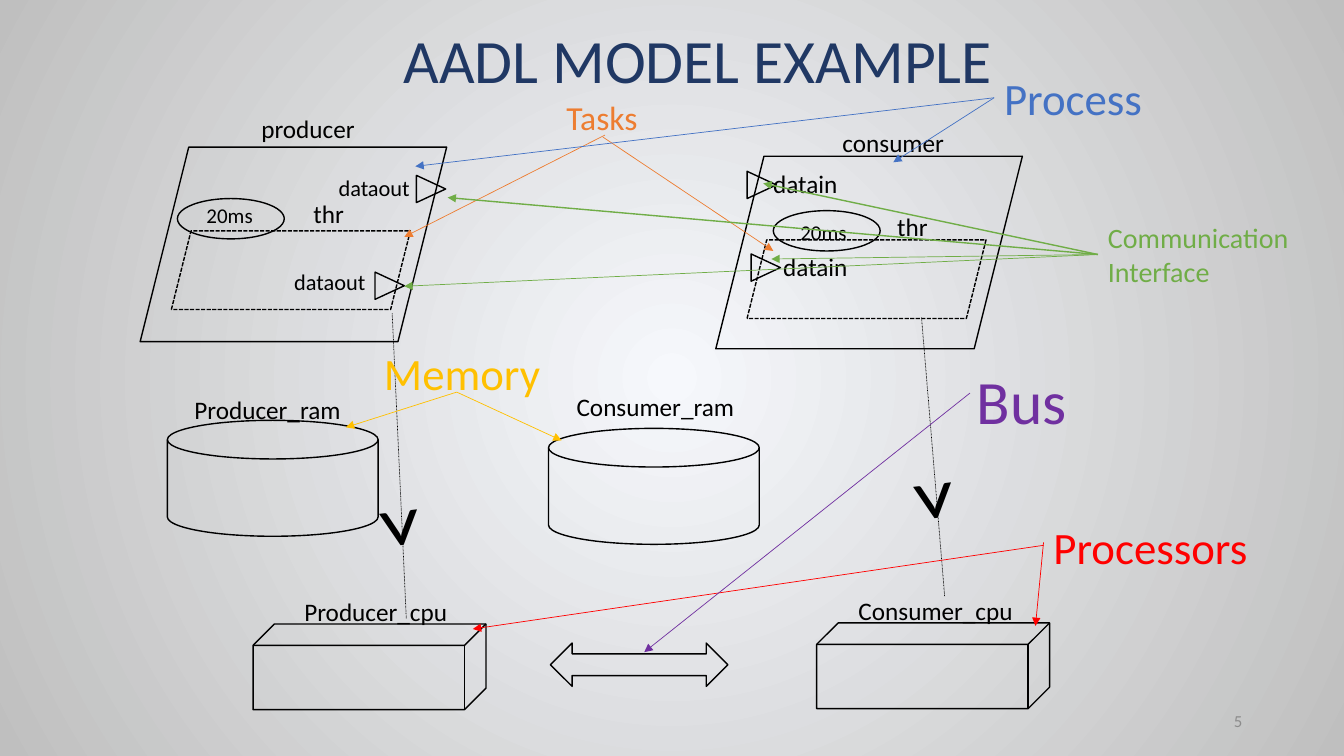
import pptx
import pptx.util
import pptx.dml.color
import pptx.enum.dml
import pptx.enum.shapes
import pptx.enum.text
import pptx.oxml
import pptx.oxml.ns

PX = 9144  # EMU per px, 100 px to the inch
SHAPE = pptx.enum.shapes.MSO_SHAPE
DASH = pptx.enum.dml.MSO_LINE
ALIGN = pptx.enum.text.PP_ALIGN
ANCHOR = pptx.enum.text.MSO_ANCHOR
FIT = pptx.enum.text.MSO_AUTO_SIZE
qn = pptx.oxml.ns.qn

THEME = {
    "font": "Calibri",
    "center": "F6F8FC", "edge": "BFBFBF",
    "ink": "000000", "title": "203864", "number": "8C8C8C",
    "task": "ED7D31", "interface": "70AD47", "process": "4472C4",
    "processor": "FF0000", "memory": "FFC000", "bus": "7030A0",
    "title_size": 44, "bus_size": 44, "callout_size": 32, "task_size": 24,
    "interface_size": 20, "label_size": 18, "port_size": 16,
    "period_size": 15, "number_size": 12, "binding_size": 66,
}


def color(name):
    return pptx.dml.color.RGBColor.from_string(THEME[name])


def add_text(text, box, size="label_size", ink="ink", align=ALIGN.LEFT,
             anchor=ANCHOR.TOP, fit=FIT.SHAPE_TO_FIT_TEXT, rotation=0):
    label = page.shapes.add_textbox(*[n * PX for n in box])
    label.rotation = rotation
    frame = label.text_frame
    frame.word_wrap = True
    frame.auto_size = fit
    frame.vertical_anchor = anchor
    para = frame.paragraphs[0]
    para.alignment = align
    span = para.add_run()
    span.text = text
    span.font.name = THEME["font"]
    span.font.size = pptx.util.Pt(THEME[size])
    span.font.color.rgb = color(ink)
    return label


def add_line(start, end, ink="ink", width=0.5, dash=None, arrow=False):
    line = page.shapes.add_connector(
        pptx.enum.shapes.MSO_CONNECTOR.STRAIGHT, *[n * PX for n in start + end])
    line.line.color.rgb = color(ink)
    line.line.width = pptx.util.Pt(width)
    if dash:
        line.line.dash_style = dash
    if arrow:
        tip = pptx.oxml.parse_xml(f'<a:tailEnd {pptx.oxml.ns.nsdecls("a")} type="triangle"/>')
        line.line._get_or_add_ln().append(tip)
    line._element.spPr.append(
        pptx.oxml.parse_xml(f'<a:effectLst {pptx.oxml.ns.nsdecls("a")}/>'))
    return line


deck = pptx.Presentation()
deck.slide_width, deck.slide_height = 1333 * PX, 750 * PX
page = deck.slides.add_slide(deck.slide_layouts[6])

# Background: radial gradient from the centre
fill = page.background.fill
fill.gradient()
for stop, name, position in zip(fill.gradient_stops, ("center", "edge"), (0, 1)):
    stop.color.rgb = color(name)
    stop.position = position
gradient = page._element.find(".//" + qn("a:gradFill"))
gradient.replace(gradient.find(qn("a:lin")), pptx.oxml.parse_xml(
    f'<a:path {pptx.oxml.ns.nsdecls("a")} path="circle">'
    '<a:fillToRect l="50000" t="50000" r="50000" b="50000"/></a:path>'))

# Model symbols: processes, threads, memories, processors, bus, periods, ports
symbols = [
    (SHAPE.PARALLELOGRAM, (139, 146, 304, 193)),
    (SHAPE.PARALLELOGRAM, (710, 155, 304, 191)),
    (SHAPE.PARALLELOGRAM, (170, 229, 237, 78), DASH.SQUARE_DOT),
    (SHAPE.PARALLELOGRAM, (741, 238, 237, 78), DASH.SQUARE_DOT),
    (SHAPE.FLOWCHART_MAGNETIC_DISK, (166, 417, 209, 115)),
    (SHAPE.FLOWCHART_MAGNETIC_DISK, (544, 425, 209, 115)),
    (SHAPE.CUBE, (251, 619, 231, 85)),
    (SHAPE.CUBE, (810, 618, 231, 85)),
    (SHAPE.LEFT_RIGHT_ARROW, (546, 638, 176, 43)),
    (SHAPE.OVAL, (176, 197, 106, 40)),
    (SHAPE.OVAL, (767, 209, 106, 40)),
]
ports = [(414, 173), (373, 269), (742, 169), (746, 251)]
symbols += [(SHAPE.ISOSCELES_TRIANGLE, (x, y, 27, 29)) for x, y in ports]
for kind, box, *dash in symbols:
    symbol = page.shapes.add_shape(kind, *[n * PX for n in box])
    symbol.shadow.inherit = False
    symbol.fill.background()
    symbol.line.color.rgb = color("ink")
    symbol.line.width = pptx.util.Pt(1)
    if dash:
        symbol.line.dash_style = dash[0]
    if kind == SHAPE.ISOSCELES_TRIANGLE:
        symbol.rotation = 90

# Names of the model parts
for text, box in [
    ("producer", (213, 108, 185, 40)),
    ("consumer", (806, 121, 160, 40)),
    ("Consumer_cpu", (838, 586, 180, 40)),
    ("Consumer_ram", (546, 383, 208, 40)),
]:
    add_text(text, box, align=ALIGN.CENTER)
for text, box, size in [
    ("Producer_cpu", (292, 587, 178, 40), "label_size"),
    ("Producer_ram", (183, 386, 209, 40), "label_size"),
    ("thr", (301, 192, 82, 40), "label_size"),
    ("thr", (880, 205, 60, 40), "label_size"),
    ("datain", (757, 162, 117, 40), "label_size"),
    ("datain", (767, 244, 100, 40), "label_size"),
    ("dataout", (326, 168, 100, 37), "port_size"),
    ("dataout", (282, 261, 100, 37), "port_size"),
    ("20ms", (195, 196, 97, 35), "period_size"),
    ("20ms", (784, 213, 77, 35), "period_size"),
]:
    add_text(text, box, size)

# Bindings from threads to processors
for start, end, mark in [
    ((389, 311), (403, 614), (372, 460, 63, 121)),
    ((914, 315), (937, 592), (902, 433, 63, 121)),
]:
    add_line(start, end, dash=DASH.ROUND_DOT)
    add_text(">", mark, "binding_size", rotation=83.1)

# Callouts: text, box, size, colour, joined to the box, arrows (start, end, width)
fan = (1089, 253)
callouts = [
    ("Tasks", (552, 91, 152, 50), "task_size", "task", False,
     [((600, 134), (401, 235), 0.5), ((598, 136), (767, 249), 0.5)]),
    ("Process", (986, 65, 178, 64), "callout_size", "process", True,
     [((986, 97), (412, 165), 0.5), ((986, 97), (886, 161), 0.5)]),
    ("Processors", (1035, 511, 220, 64), "callout_size", "processor", False,
     [((1035, 541), (469, 624), 0.5), ((1035, 538), (1027, 621), 0.5)]),
    ("Memory", (371, 338, 182, 64), "callout_size", "memory", False,
     [((453, 389), (343, 424), 0.5), ((453, 389), (557, 437), 0.5)]),
    ("Bus", (959, 355, 139, 84), "bus_size", "bus", False,
     [((962, 390), (639, 647), 0.5)]),
    ("Communication Interface", (1089, 214, 204, 77), "interface_size", "interface", True,
     [(fan, (444, 196), 1), (fan, (757, 182), 1),
      (fan, (401, 284), 0.5), (fan, (765, 257), 0.5)]),
]
for text, box, size, ink, joined, arrows in callouts:
    label = add_text(text, box, size, ink)
    for start, end, width in arrows:
        arrow = add_line(start, end, ink, width, arrow=True)
        if joined:
            arrow.begin_connect(label, 1)

# Title and page number
add_text("AADL MODEL EXAMPLE", (371, 17, 643, 84), "title_size", "title", ALIGN.CENTER)
add_text("5", (942, 695, 300, 40), "number_size", "number", ALIGN.RIGHT,
         ANCHOR.MIDDLE, FIT.NONE)

deck.save("out.pptx")
